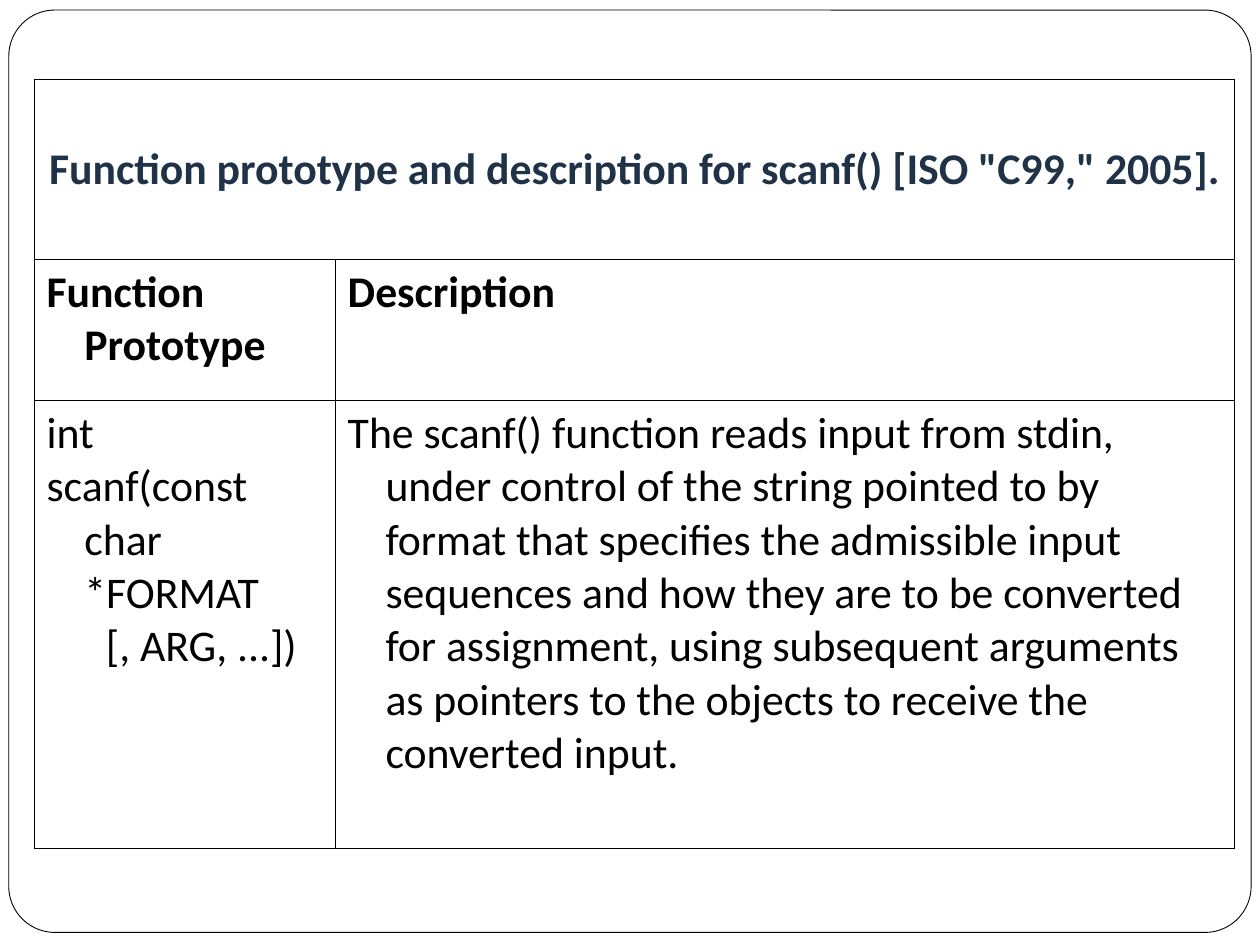
from lxml.etree import SubElement
from pptx import Presentation
from pptx.dml.color import RGBColor
from pptx.enum.shapes import MSO_SHAPE
from pptx.enum.text import MSO_ANCHOR, PP_ALIGN
from pptx.oxml.ns import qn
from pptx.util import Inches, Pt

TITLE = 'Function prototype and description for scanf() [ISO "C99," 2005].'
HEADINGS = ["Function Prototype", "Description"]
PROTOTYPE = ["int", "scanf(const char *FORMAT", "      [, ARG, ...])"]
DESCRIPTION = (
    "The scanf() function reads input from stdin, under control of the string "
    "pointed to by format that specifies the admissible input sequences and how "
    "they are to be converted for assignment, using subsequent arguments as "
    "pointers to the objects to receive the converted input."
)
COLUMN_WIDTHS = [2.39, 7.14]
ROW_HEIGHTS = [1.43, 1.12, 3.55]
HANGING_INDENT = Inches(0.3)


def color(value):
    return RGBColor.from_string(value)


def write(cell, lines, bold=False, text_color="000000", align=PP_ALIGN.LEFT):
    frame = cell.text_frame
    frame.text = "\n".join(lines)
    for paragraph in frame.paragraphs:
        paragraph.alignment = align
        properties = paragraph._p.get_or_add_pPr()
        properties.set("marL", str(HANGING_INDENT))
        properties.set("indent", str(-HANGING_INDENT))
        for run in paragraph.runs:
            run.font.name = "Calibri"
            run.font.size = Pt(25)
            run.font.bold = bold
            run.font.color.rgb = color(text_color)


def style_cell(cell):
    properties = cell._tc.get_or_add_tcPr()
    for side in ("lnL", "lnR", "lnT", "lnB"):
        border = SubElement(properties, qn(f"a:{side}"), w=str(Pt(0.34)))
        fill = SubElement(border, qn("a:solidFill"))
        SubElement(fill, qn("a:srgbClr"), val="000000")
    cell.fill.background()
    cell.margin_left = cell.margin_right = Inches(0.1)
    cell.margin_top = cell.margin_bottom = Inches(0.05)


def add_frame(slide):
    shape = slide.shapes.add_shape(
        MSO_SHAPE.ROUNDED_RECTANGLE, Inches(0.07), Inches(0.08), Inches(9.86), Inches(7.32)
    )
    shape.adjustments[0] = 0.05
    shape.shadow.inherit = False
    shape.fill.solid()
    shape.fill.fore_color.rgb = color("FFFFFF")
    shape.line.color.rgb = color("000000")
    shape.line.width = Pt(0.5)


def add_prototype_table(slide):
    table = slide.shapes.add_table(
        len(ROW_HEIGHTS), len(COLUMN_WIDTHS), Inches(0.27), Inches(0.63),
        Inches(sum(COLUMN_WIDTHS)), Inches(sum(ROW_HEIGHTS))
    ).table
    table.first_row = table.horz_banding = False
    for column, width in zip(table.columns, COLUMN_WIDTHS):
        column.width = Inches(width)
    for row, height in zip(table.rows, ROW_HEIGHTS):
        row.height = Inches(height)
    for cell in table.iter_cells():
        style_cell(cell)

    title_cell = table.cell(0, 0)
    title_cell.merge(table.cell(0, 1))
    title_cell.vertical_anchor = MSO_ANCHOR.MIDDLE
    write(title_cell, [TITLE], bold=True, text_color="1F3247", align=PP_ALIGN.CENTER)
    for index, heading in enumerate(HEADINGS):
        write(table.cell(1, index), [heading], bold=True)
    write(table.cell(2, 0), PROTOTYPE)
    write(table.cell(2, 1), [DESCRIPTION])


def main():
    presentation = Presentation()
    presentation.slide_width = Inches(10)
    presentation.slide_height = Inches(7.5)
    slide = presentation.slides.add_slide(presentation.slide_layouts[6])
    add_frame(slide)
    add_prototype_table(slide)
    presentation.save("out.pptx")


if __name__ == "__main__":
    main()
